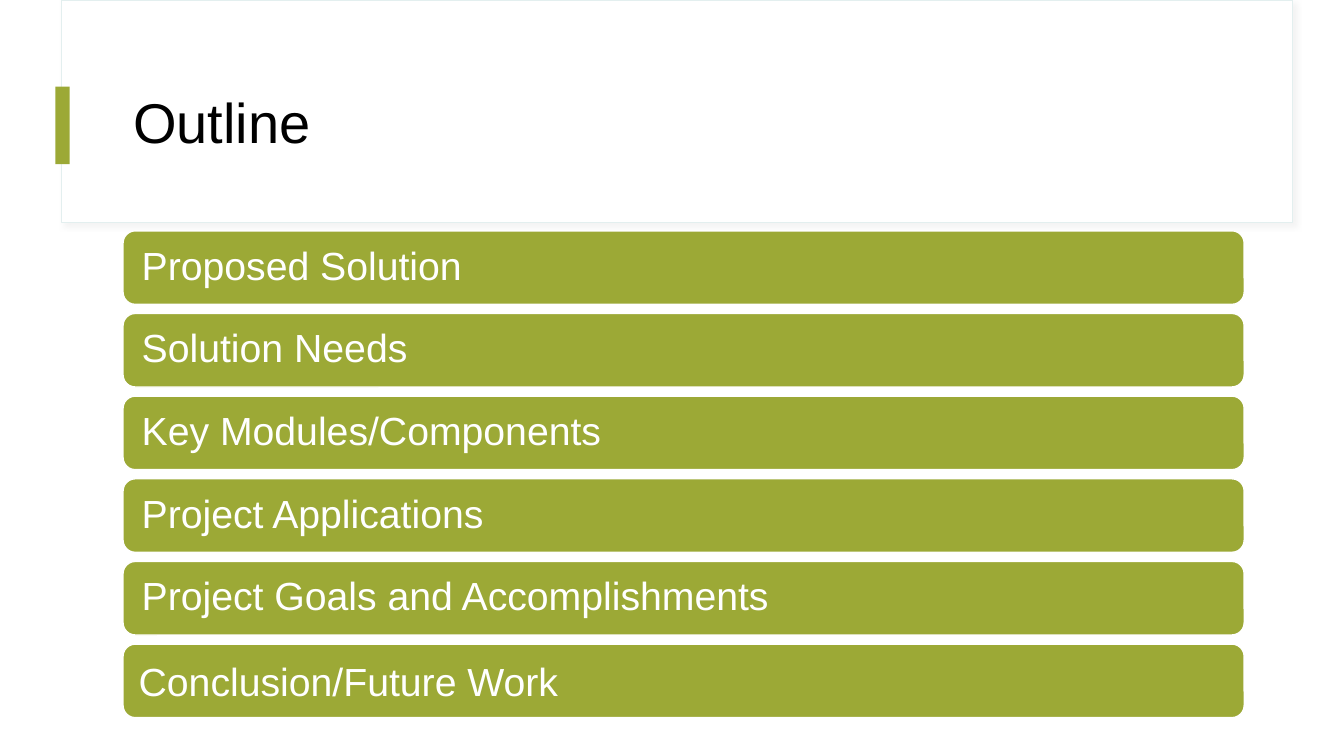
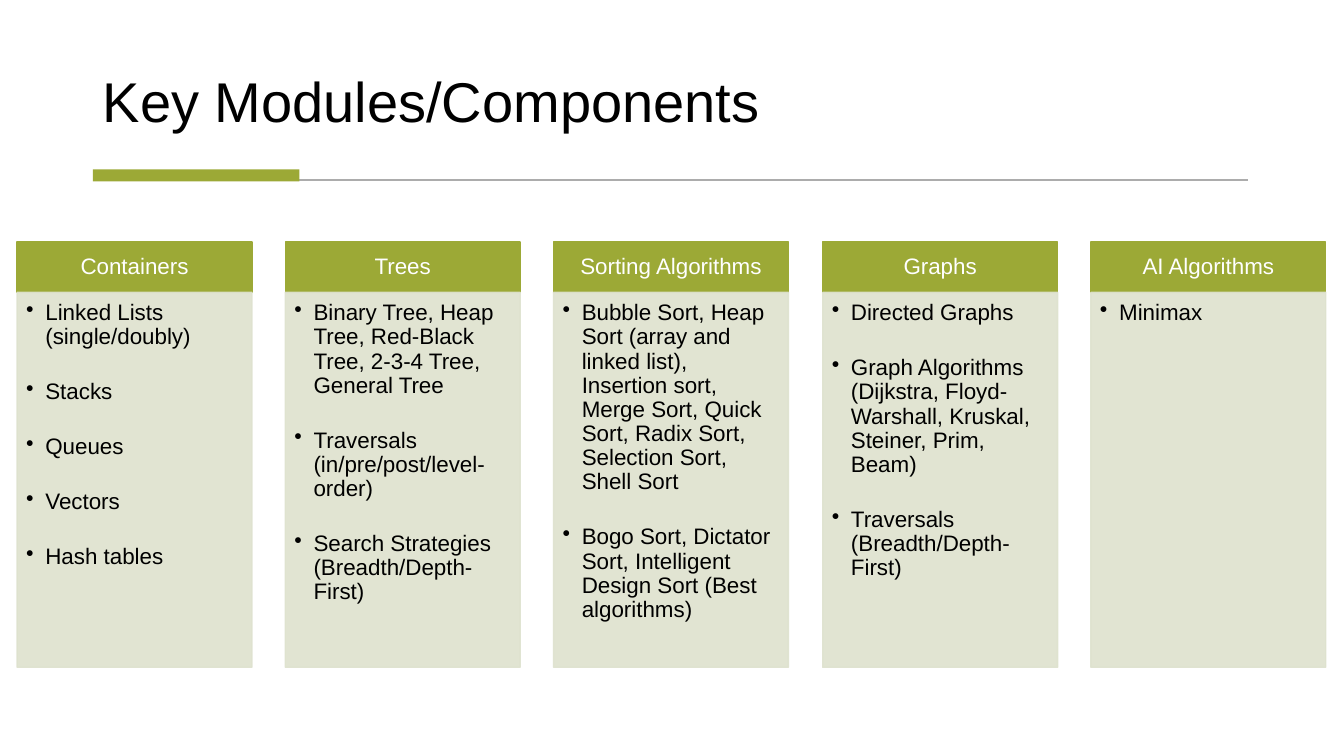
from lxml import etree
from pptx import Presentation
from pptx.dml.color import RGBColor
from pptx.enum.shapes import MSO_CONNECTOR, MSO_SHAPE
from pptx.enum.text import MSO_ANCHOR as ANCHOR, MSO_AUTO_SIZE, PP_ALIGN as ALIGN
from pptx.oxml import parse_xml
from pptx.oxml.ns import nsdecls, qn
from pptx.util import Pt

# Shared scale, font and colours
PX = 9144  # 100 px to the inch
FONT = "Arial"
OLIVE = RGBColor(0x9C, 0xA9, 0x36)
PALE = RGBColor(0xDE, 0xE2, 0xCE)
MINT = RGBColor(0xE3, 0xEF, 0xEF)
GREY = RGBColor(0xAC, 0xAC, 0xAC)
WHITE = RGBColor(0xFF, 0xFF, 0xFF)
BLACK = RGBColor(0, 0, 0)


def write_text(shape, texts, size=40, color=BLACK, align=ALIGN.LEFT,
               anchor=ANCHOR.MIDDLE, insets=(10, 5, 10, 5), indent=0, after=0):
    """Fill a shape with one paragraph per text; an indent adds bullets."""
    frame = shape.text_frame
    frame.word_wrap = True
    frame.auto_size = MSO_AUTO_SIZE.NONE
    frame.vertical_anchor = anchor
    (frame.margin_left, frame.margin_top,
     frame.margin_right, frame.margin_bottom) = [inset * PX for inset in insets]
    for index, text in enumerate(texts):
        para = frame.add_paragraph() if index else frame.paragraphs[0]
        para.alignment = align
        para.line_spacing = 0.9
        para.space_before = Pt(0)
        para.space_after = Pt(after)
        span = para.add_run()
        span.text = text
        span.font.name = FONT
        span.font.size = Pt(size)
        span.font.color.rgb = color
        if indent:
            props = para._p.get_or_add_pPr()
            props.set("marL", str(indent * PX))
            props.set("indent", str(-indent * PX))
            etree.SubElement(props, qn("a:buChar")).set("char", "•")


def add_box(page, left, top, width, height, fill, line=None, line_width=1,
            kind=MSO_SHAPE.RECTANGLE):
    """Add a flat filled shape, outlined only when a line colour is given."""
    box = page.shapes.add_shape(kind, left * PX, top * PX, width * PX, height * PX)
    box.shadow.inherit = False
    box.fill.solid()
    box.fill.fore_color.rgb = fill
    if line is None:
        box.line.fill.background()
    else:
        box.line.color.rgb = line
        box.line.width = Pt(line_width)
    return box


deck = Presentation()
deck.slide_width, deck.slide_height = 1333 * PX, 750 * PX

# Pages with their titles
TITLES = [
    ("Outline", (122, 60, 1112, 129), ANCHOR.MIDDLE),
    ("Key Modules/Components", (92, 28, 1149, 111), ANCHOR.BOTTOM),
]
pages = []
for text, bounds, anchor in TITLES:
    page = deck.slides.add_slide(deck.slide_layouts[5])
    title = page.shapes.title
    title.left, title.top, title.width, title.height = [edge * PX for edge in bounds]
    write_text(title, [text], anchor=anchor)
    pages.append(page)
outline, modules = pages

# Outline: title panel with a soft shadow, kept behind the title
panel = add_box(outline, 61, 0, 1221, 221, WHITE, MINT, 0.75)
panel._element.spPr.remove(panel._element.spPr.find(qn("a:effectLst")))
panel._element.spPr.append(parse_xml(
    f'<a:effectLst {nsdecls("a")}>'
    '<a:outerShdw blurRad="50800" dist="38100" dir="2700000">'
    '<a:srgbClr val="D9D9D9"><a:alpha val="30000"/></a:srgbClr>'
    '</a:outerShdw></a:effectLst>'))
outline.shapes.title._element.addprevious(panel._element)
add_box(outline, 55, 86, 14, 77, OLIVE)

# Outline: one bar per topic
TOPICS = [
    "Proposed Solution",
    "Solution Needs",
    "Key Modules/Components",
    "Project Applications",
    "Project Goals and Accomplishments",
    "Conclusion/Future Work",
]
for row, topic in enumerate(TOPICS):
    is_last = row == len(TOPICS) - 1
    bar = add_box(outline, 122, 229 + 82 * row, 1112, 73, OLIVE, WHITE,
                  kind=MSO_SHAPE.ROUNDED_RECTANGLE)
    write_text(bar, [topic], size=28, color=WHITE,
               insets=(12, 5, 12, 0) if is_last else (15, 0, 15, 0))

# Modules: rule and accent under the title
rule = modules.shapes.add_connector(
    MSO_CONNECTOR.STRAIGHT, 95 * PX, 179 * PX, 1238 * PX, 179 * PX)
rule.line.color.rgb = GREY
rule.line.width = Pt(1.5)
etree.SubElement(rule._element.spPr, qn("a:effectLst"))
add_box(modules, 92, 168, 205, 12, OLIVE)

# Modules: one column per group, spread evenly between the margins
GROUPS = {
    "Containers": [
        "Linked Lists (single/doubly)", "Stacks", "Queues", "Vectors", "Hash tables",
    ],
    "Trees": [
        "Binary Tree, Heap Tree, Red-Black Tree, 2-3-4 Tree, General Tree",
        "Traversals (in/pre/post/level-order)",
        "Search Strategies (Breadth/Depth-First)",
    ],
    "Sorting Algorithms": [
        "Bubble Sort, Heap Sort (array and linked list), Insertion sort, Merge Sort, "
        "Quick Sort, Radix Sort, Selection Sort, Shell Sort",
        "Bogo Sort, Dictator Sort, Intelligent Design Sort (Best algorithms)",
    ],
    "Graphs": [
        "Directed Graphs",
        "Graph Algorithms (Dijkstra, Floyd-Warshall, Kruskal, Steiner, Prim, Beam)",
        "Traversals (Breadth/Depth-First)",
    ],
    "AI Algorithms": ["Minimax"],
}
FIRST_LEFT, LAST_LEFT, COLUMN_WIDTH = 17, 1082, 233
for column, (heading, items) in enumerate(GROUPS.items()):
    left = FIRST_LEFT + round((LAST_LEFT - FIRST_LEFT) * column / (len(GROUPS) - 1))
    header = add_box(modules, left, 240, COLUMN_WIDTH, 50, OLIVE, OLIVE)
    write_text(header, [heading], size=16, color=WHITE, align=ALIGN.CENTER,
               insets=(12, 7, 12, 7))
    body = add_box(modules, left, 290, COLUMN_WIDTH, 372, PALE, PALE)
    for color in body._element.spPr.iter(qn("a:srgbClr")):
        etree.SubElement(color, qn("a:alpha")).set("val", "90000")
    write_text(body, items, size=16, anchor=ANCHOR.TOP, insets=(9, 9, 12, 14),
               indent=19, after=22)

deck.save("out.pptx")
